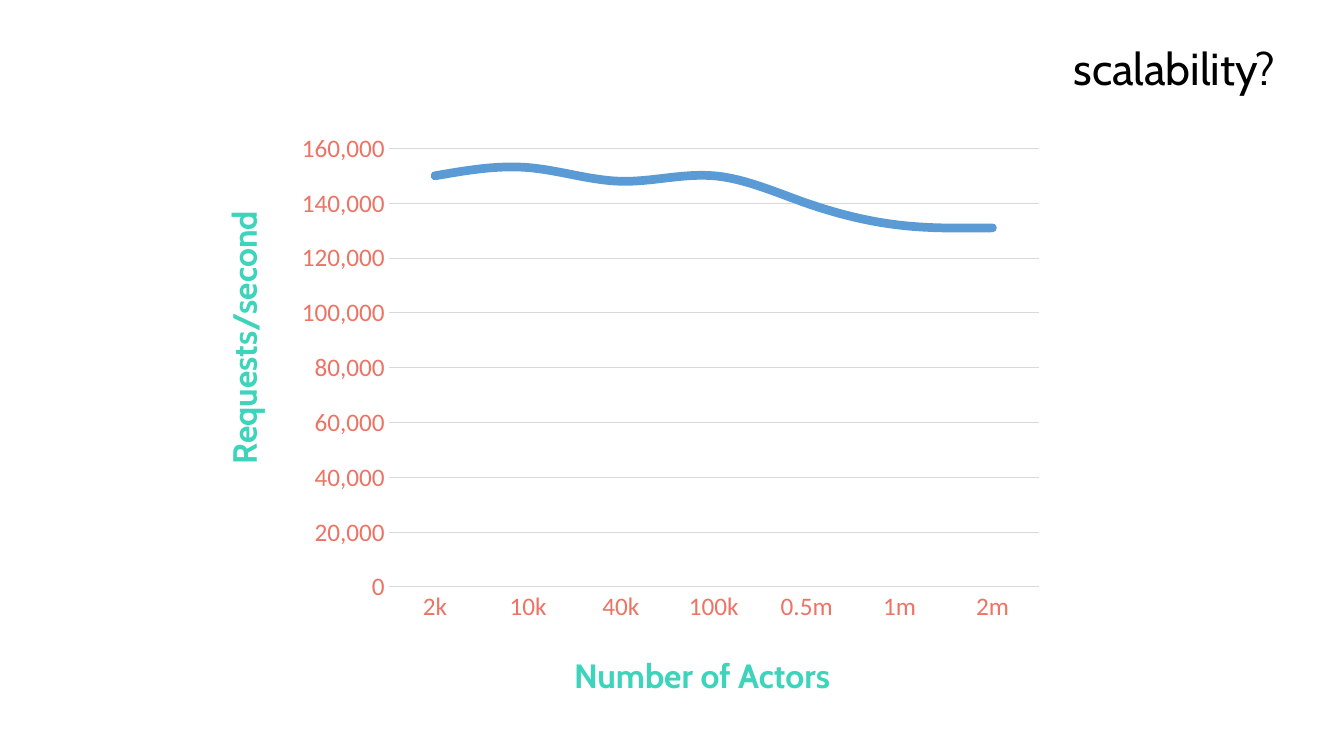
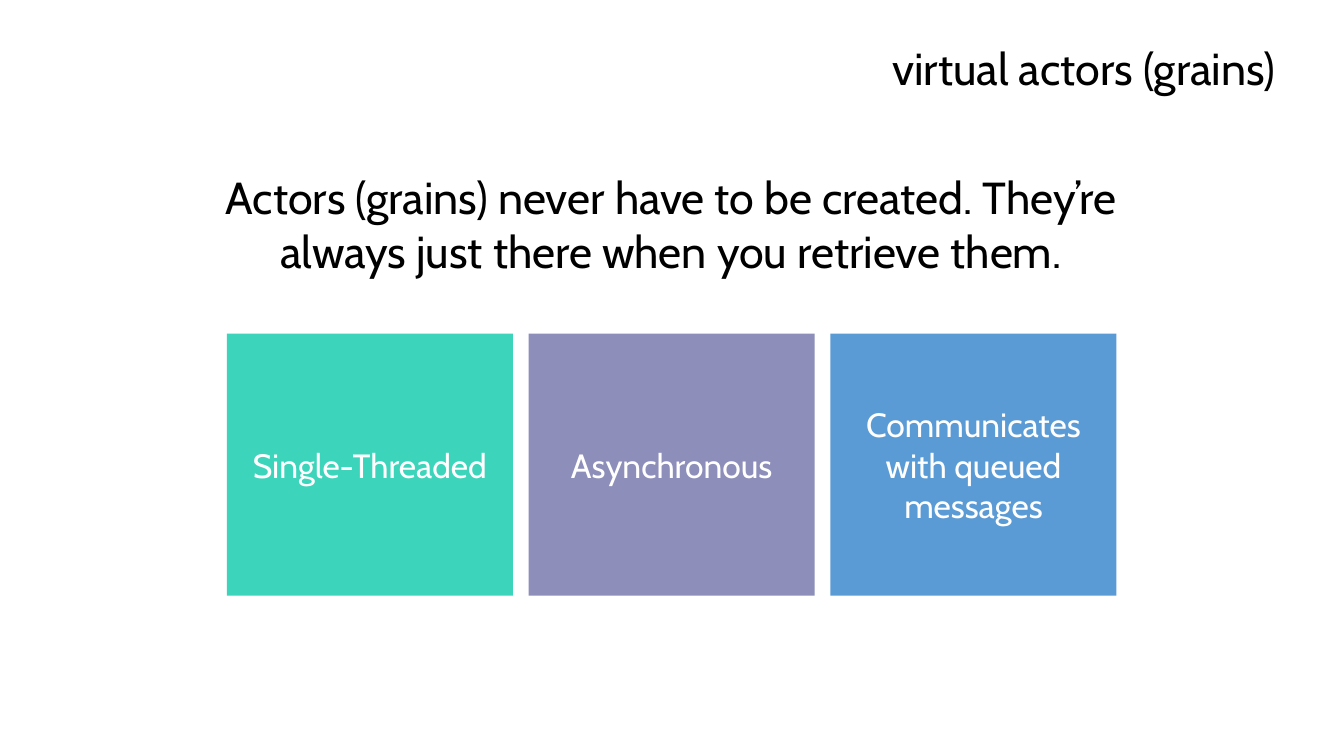
import pptx
import pptx.chart.data
import pptx.dml.color
import pptx.enum.chart
import pptx.enum.shapes
import pptx.enum.text
import pptx.oxml
import pptx.oxml.ns
import pptx.util

Pt = pptx.util.Pt
RGBColor = pptx.dml.color.RGBColor
Align = pptx.enum.text.PP_ALIGN
Anchor = pptx.enum.text.MSO_ANCHOR

BLACK = RGBColor(0x00, 0x00, 0x00)
WHITE = RGBColor(0xFF, 0xFF, 0xFF)
TEAL = RGBColor(0x3C, 0xD4, 0xBA)
PURPLE = RGBColor(0x8D, 0x8E, 0xB9)
BLUE = RGBColor(0x5B, 0x9B, 0xD5)
CORAL = RGBColor(0xEC, 0x74, 0x65)
GREY = RGBColor(0xD9, 0xD9, 0xD9)

TEXT_FONT = "Cabin"
CHART_FONT = "Calibri"
TITLE_BOX = (268.5, 25.2, 650, 46)
CARD_LEFT, CARD_TOP, CARD_WIDTH, CARD_HEIGHT, CARD_GAP = 162, 238.3, 204.3, 187.2, 11.3

PLOT_LAYOUT = (
    '<c:layout %s><c:manualLayout><c:layoutTarget val="inner"/>'
    '<c:xMode val="edge"/><c:yMode val="edge"/>'
    '<c:x val="0.13"/><c:y val="0.05"/><c:w val="0.85"/><c:h val="0.86"/>'
    '</c:manualLayout></c:layout>' % pptx.oxml.ns.nsdecls("c")
)


def points(*lengths):
    return [Pt(length) for length in lengths]


def place(shape, box):
    shape.left, shape.top, shape.width, shape.height = points(*box)


def write(shape, text, size=24, color=BLACK, bold=False, align=Align.CENTER, anchor=Anchor.TOP):
    frame = shape.text_frame
    frame.text = text
    frame.word_wrap = True
    frame.auto_size = pptx.enum.text.MSO_AUTO_SIZE.NONE
    frame.vertical_anchor = anchor
    paragraph = frame.paragraphs[0]
    paragraph.alignment = align
    font = paragraph.runs[0].font
    font.name = TEXT_FONT
    font.size = Pt(size)
    font.bold = bold
    font.color.rgb = color


def add_titled_slide(deck, layout, title):
    slide = deck.slides.add_slide(layout)
    write(slide.shapes.title, title, size=32, align=Align.RIGHT)
    return slide


def add_label(slide, text, box, rotation=0, **style):
    label = slide.shapes.add_textbox(*points(*box))
    label.rotation = rotation
    write(label, text, **style)


def add_card(slide, text, fill, column):
    left = CARD_LEFT + column * (CARD_WIDTH + CARD_GAP)
    card = slide.shapes.add_shape(
        pptx.enum.shapes.MSO_SHAPE.RECTANGLE,
        *points(left, CARD_TOP, CARD_WIDTH, CARD_HEIGHT))
    card.shadow.inherit = False
    card.fill.solid()
    card.fill.fore_color.rgb = fill
    card.line.fill.background()
    write(card, text, color=WHITE, anchor=Anchor.MIDDLE)


def rule(line):
    line.color.rgb = GREY
    line.width = Pt(0.75)


def style_axes(chart):
    chart.font.name = CHART_FONT
    chart.font.size = Pt(18)
    chart.font.color.rgb = CORAL
    for axis in (chart.category_axis, chart.value_axis):
        axis.major_tick_mark = axis.minor_tick_mark = pptx.enum.chart.XL_TICK_MARK.NONE
    rule(chart.category_axis.format.line)
    requests = chart.value_axis
    requests.minimum_scale = 0
    requests.maximum_scale = 160000
    requests.major_unit = 20000
    requests.format.line.fill.background()
    requests.tick_labels.number_format = "#,##0"
    requests.tick_labels.number_format_is_linked = False
    rule(requests.major_gridlines.format.line)


def style_curve(curve):
    curve.smooth = True
    curve.format.line.color.rgb = BLUE
    curve.format.line.width = Pt(6.25)
    curve.format.line._get_or_add_ln().set("cap", "rnd")
    curve.marker.style = pptx.enum.chart.XL_MARKER_STYLE.CIRCLE
    curve.marker.size = 5
    curve.marker.format.fill.solid()
    curve.marker.format.fill.fore_color.rgb = BLUE
    curve.marker.format.line.color.rgb = BLUE


def add_line_chart(slide, categories, values, box):
    throughput = pptx.chart.data.CategoryChartData(number_format="#,##0")
    throughput.categories = categories
    throughput.add_series("Series 1", values)
    chart = slide.shapes.add_chart(
        pptx.enum.chart.XL_CHART_TYPE.LINE_MARKERS, *points(*box), throughput).chart
    chart.has_legend = False
    chart.has_title = False
    chart.plots[0].vary_by_categories = False
    style_axes(chart)
    style_curve(chart.plots[0].series[0])
    plot_area = chart.plots[0]._element.getparent()
    for automatic in plot_area.findall(pptx.oxml.ns.qn("c:layout")):
        plot_area.remove(automatic)
    plot_area.insert(0, pptx.oxml.parse_xml(PLOT_LAYOUT))


def build_scalability(deck, layout):
    slide = add_titled_slide(deck, layout, "scalability?")
    add_line_chart(
        slide,
        ["2k", "10k", "40k", "100k", "0.5m", "1m", "2m"],
        [150000, 153000, 148000, 150000, 140000, 132000, 131000],
        (206.6, 87.8, 546.5, 364.3))
    add_label(slide, "Number of Actors", (308.2, 464.4, 386.6, 36), color=TEAL, bold=True)
    add_label(slide, "Requests/second", (-19.4, 223.2, 386.6, 36), rotation=270,
              color=TEAL, bold=True)


def build_virtual_actors(deck, layout):
    slide = add_titled_slide(deck, layout, "virtual actors (grains)")
    add_label(
        slide,
        "Actors (grains) never have to be created. They’re always just there when you retrieve them.",
        (127.5, 118, 704, 85), size=32)
    traits = [
        ("Single-Threaded", TEAL),
        ("Asynchronous", PURPLE),
        ("Communicates with queued messages", BLUE),
    ]
    for column, (trait, fill) in enumerate(traits):
        add_card(slide, trait, fill, column)


def main():
    deck = pptx.Presentation()
    deck.slide_width, deck.slide_height = points(960, 540)
    layout = deck.slide_layouts.get_by_name("Title Only")
    place(layout.placeholders[0], TITLE_BOX)
    build_scalability(deck, layout)
    build_virtual_actors(deck, layout)
    deck.save("out.pptx")


if __name__ == "__main__":
    main()
